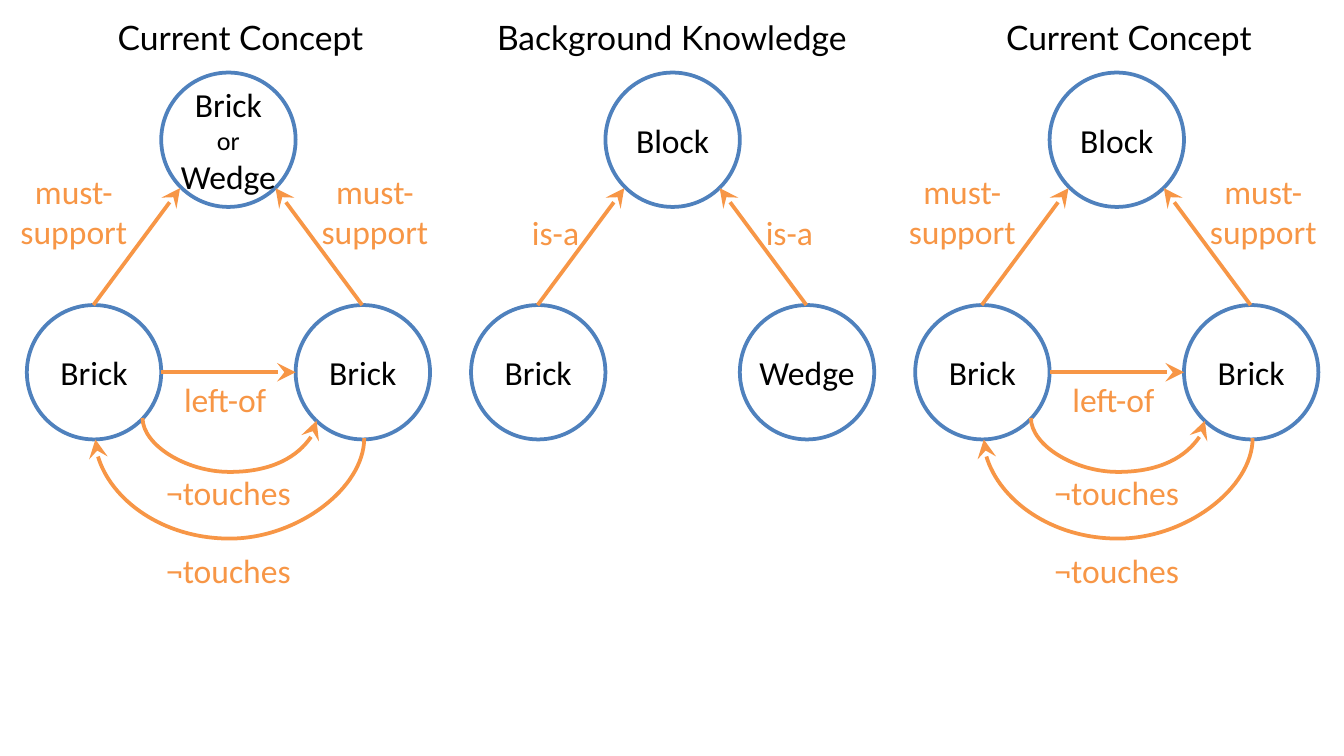
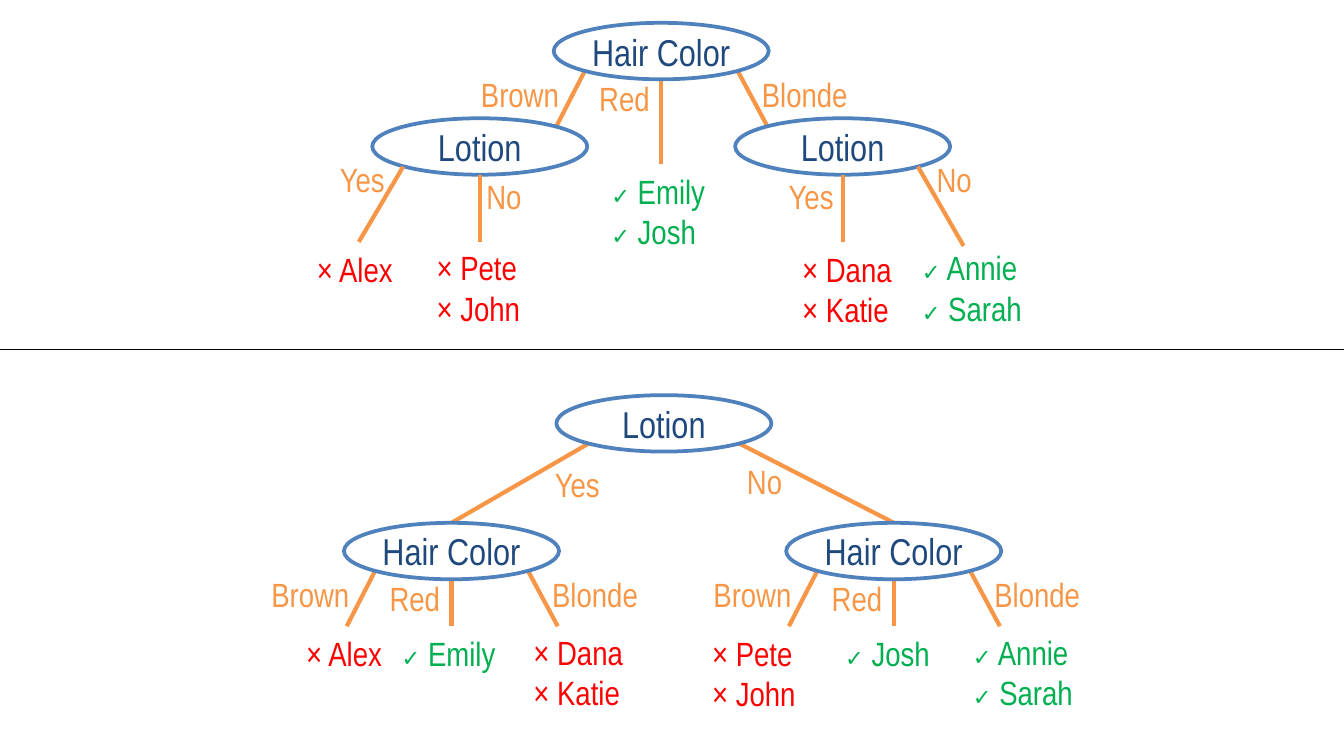
from lxml import etree
from pptx import Presentation
from pptx.dml.color import RGBColor
from pptx.enum.shapes import MSO_CONNECTOR, MSO_SHAPE
from pptx.enum.text import MSO_ANCHOR, MSO_AUTO_SIZE, PP_ALIGN
from pptx.oxml.ns import qn
from pptx.util import Inches, Pt

STRAIGHT, CURVE = MSO_CONNECTOR.STRAIGHT, MSO_CONNECTOR.CURVE
OVAL = MSO_SHAPE.OVAL
CENTER, LEFT = PP_ALIGN.CENTER, PP_ALIGN.LEFT
MIDDLE = MSO_ANCHOR.MIDDLE
FIT_SHAPE, FIT_NONE = MSO_AUTO_SIZE.SHAPE_TO_FIT_TEXT, MSO_AUTO_SIZE.NONE

COLORS = {
    "paper": "FFFFFF", "ink": "000000", "outline": "4F81BD", "link": "F79646",
    "node": "1F497D", "burned": "FF0000", "fine": "00B050",
}
COLUMNS, ROWS = 100, 56.25  # square grid cells of a tenth of an inch
CELL = Inches(0.1)


def cells(*counts):
    return [round(count * CELL) for count in counts]


def color(name):
    return RGBColor.from_string(COLORS[name])


class Diagram:
    """Holds the style, the current page and the shapes being drawn on."""

    def __init__(self):
        self.deck = Presentation()
        self.deck.slide_width, self.deck.slide_height = cells(COLUMNS, ROWS)

    def add_page(self, font):
        self.page = self.deck.slides.add_slide(self.deck.slide_layouts[6])
        self.canvas = self.page.shapes
        self.font = font

    def start_group(self):
        self.canvas = self.page.shapes.add_group_shape().shapes

    def end_group(self):
        self.canvas = self.page.shapes

    def style(self, span, size, ink, font=None):
        span.font.name = font or self.font
        span.font.size = Pt(size)
        span.font.color.rgb = color(ink)

    def fill_text(self, frame, text, sizes, ink, align, font=None):
        frame.text = text
        for para, size in zip(frame.paragraphs, sizes):
            para.alignment = align
            for span in para.runs:
                self.style(span, size, ink, font)

    def ellipse(self, at, text, sizes, ink):
        shape = self.canvas.add_shape(OVAL, *cells(*at))
        shape.shadow.inherit = False
        shape.fill.solid()
        shape.fill.fore_color.rgb = color("paper")
        shape.line.color.rgb = color("outline")
        shape.line.width = Pt(2)
        frame = shape.text_frame
        frame.margin_left = frame.margin_right = 0
        frame.margin_top = frame.margin_bottom = 0
        frame.vertical_anchor = MIDDLE
        frame.word_wrap = False
        self.fill_text(frame, text, sizes, ink, CENTER)

    def text_box(self, at, wrap=False, fit=FIT_NONE):
        frame = self.canvas.add_textbox(*cells(*at)).text_frame
        frame.word_wrap = wrap
        frame.auto_size = fit
        return frame

    def heading(self, left, text):
        frame = self.text_box((left, 0.8, 32, 4), wrap=True)
        self.fill_text(frame, text, [18], "ink", CENTER, "Lato")

    def label(self, at, text, align=CENTER, fit=FIT_NONE):
        self.fill_text(self.text_box(at, fit=fit), text, [18], "link", align)

    def tag(self, left, top, text):
        widths = {"Yes": 5.4, "No": 4.7, "Red": 5.8, "Blonde": 8.5, "Brown": 7.9, "is-a": 5.6}
        self.label((left, top, widths[text], 4), text, LEFT, FIT_SHAPE)

    def leaf(self, left, top, width, result, *names):
        mark, mark_size = {"burned": ("×", 18), "fine": ("✓", 12)}[result]
        frame = self.text_box((left, top, width, 0.9 + 3.1 * len(names)), fit=FIT_SHAPE)
        frame.text = "\n".join([mark] * len(names))
        for para, name in zip(frame.paragraphs, names):
            self.style(para.runs[0], mark_size, result)
            span = para.add_run()
            span.text = " " + name
            self.style(span, 18, result)

    def line(self, start, end, ink="link", width=2.25, kind=STRAIGHT, arrow=False):
        line = self.canvas.add_connector(kind, *cells(*start, *end))
        line.line.color.rgb = color(ink)
        line.line.width = Pt(width)
        properties = line._element.spPr
        if arrow:
            etree.SubElement(properties.find(qn("a:ln")), qn("a:tailEnd"),
                             type="stealth", w="lg", len="lg")
        etree.SubElement(properties, qn("a:effectLst"))
        return properties

    def arrow(self, start, end):
        self.line(start, end, width=2, arrow=True)

    def arc(self, start, end, lowest):
        """Curved arrow that leaves downwards, turns at lowest and comes back up."""
        (x1, y1), (x2, y2) = start, end
        middle_x, middle_y = (x1 + x2) / 2, (y1 + y2) / 2
        drop, reach = y2 - y1, abs(x2 - x1)
        # The connector is laid out upright, then turned a quarter
        sides = [middle_x - drop / 2, middle_x + drop / 2]
        turn = 90
        if x2 > x1:
            sides.reverse()
            turn = 270
        properties = self.line((sides[0], middle_y - reach / 2),
                               (sides[1], middle_y + reach / 2),
                               width=2, kind=CURVE, arrow=True)
        properties.find(qn("a:xfrm")).set("rot", str(turn * 60000))
        guides = properties.find(qn("a:prstGeom")).get_or_add_avLst()
        bend = round((lowest - y1) / drop * 100000)
        etree.SubElement(guides, qn("a:gd"), name="adj1", fmla=f"val {bend}")

    # Parts of the concept graphs
    def triangle(self, left, top_words, left_word, right_word):
        for x, y, words in ((10, 5.4, top_words), (0, 22.7, left_word), (20, 22.7, right_word)):
            sizes = [14 if word == "or" else 18 for word in words.split("\n")]
            self.ellipse((left + x, y, 10, 10), words, sizes, "ink")
        for foot, tip in ((4.95, 11.4), (24.95, 18.5)):
            self.arrow((left + foot, 22.7), (left + tip, 14))

    def concept_links(self, left):
        for x in (-2, 20.4):
            self.label((left + x, 12.2, 11, 7.1), "must-\vsupport")
        self.arrow((left + 10, 27.7), (left + 20, 27.7))
        self.label((left + 9.5, 27.7, 10.5, 4), "left-of")
        self.arc((left + 8.6, 31.1), (left + 21.55, 31.3), 35.1)
        self.arc((left + 25.1, 32.6), (left + 5.1, 32.7), 40.2)
        for top in (34.6, 40.4):
            self.label((left + 9.75, top, 10.5, 4), "¬touches")

    # Parts of the decision trees
    def question(self, left, top, text):
        self.ellipse((left, top, 16, 4.2), text, [20], "node")

    def hair_color(self, left, top, red_end=7.7):
        for start, end in (((2.3, 3.6), (0.2, 7.7)), ((8, 4.2), (8, red_end)),
                           ((13.7, 3.6), (15.9, 7.7))):
            self.line((left + start[0], top + start[1]), (left + end[0], top + end[1]))
        for x, y, text in ((-6.4, 3.3, "Brown"), (2.4, 3.6, "Red"), (14.5, 3.3, "Blonde")):
            self.tag(left + x, top + y, text)
        self.question(left, top, "Hair Color")


def concept_page(diagram):
    diagram.add_page("Calibri")
    first, pitch = 2, 33.05
    panels = (
        (1.9, "Current Concept", "Brick\nor\nWedge", "Brick", "Brick"),
        (34, "Background Knowledge", "Block", "Brick", "Wedge"),
        (68, "Current Concept", "Block", "Brick", "Brick"),
    )
    for number, (heading_left, heading, *words) in enumerate(panels):
        left = first + number * pitch
        diagram.heading(heading_left, heading)
        diagram.triangle(left, *words)
        if heading == "Current Concept":
            diagram.concept_links(left)
        else:
            for x in (3.55, 20.95):
                diagram.tag(left + x, 15.3, "is-a")


def tree_page(diagram):
    diagram.add_page("Arial Narrow")

    # Lower tree: lotion first
    diagram.start_group()
    diagram.line((43.8, 33), (33.6, 38.9))
    diagram.line((55, 33), (66.5, 38.9))
    diagram.question(41.4, 29.4, "Lotion")
    diagram.tag(40.3, 34, "Yes")
    diagram.tag(54.6, 33.8, "No")
    for left in (25.6, 58.5):
        diagram.hair_color(left, 38.9)
    diagram.leaf(21.8, 46.6, 7.7, "burned", "Alex")
    diagram.leaf(28.9, 46.6, 9.3, "fine", "Emily")
    diagram.leaf(38.7, 46.5, 8.8, "burned", "Dana", "Katie")
    diagram.leaf(52, 46.6, 8.3, "burned", "Pete", "John")
    diagram.leaf(61.9, 46.6, 8.7, "fine", "Josh")
    diagram.leaf(71.4, 46.5, 9.8, "fine", "Annie", "Sarah")
    diagram.end_group()

    # Divider
    diagram.line((0, 26), (COLUMNS, 26), "ink", 1)

    # Upper tree: hair color first
    diagram.start_group()
    diagram.hair_color(41.2, 1.7, red_end=10.5)
    for left in (27.7, 54.7):
        diagram.question(left, 8.8, "Lotion")
        diagram.line((left + 8, 13), (left + 8, 18))
    diagram.line((30, 12.4), (26.7, 18))
    diagram.line((68.3, 12.4), (71.7, 18.3))
    for left, top, text in ((24.3, 11.3, "Yes"), (35.2, 12.6, "No"),
                            (57.7, 12.6, "Yes"), (68.7, 11.3, "No")):
        diagram.tag(left, top, text)
    diagram.leaf(22.6, 18, 7.7, "burned", "Alex")
    diagram.leaf(31.5, 17.9, 8.3, "burned", "Pete", "John")
    diagram.leaf(44.5, 12.2, 9.3, "fine", "Emily", "Josh")
    diagram.leaf(58.7, 18, 8.8, "burned", "Dana", "Katie")
    diagram.leaf(67.6, 17.9, 9.8, "fine", "Annie", "Sarah")
    diagram.end_group()


def main():
    diagram = Diagram()
    concept_page(diagram)
    tree_page(diagram)
    diagram.deck.save("out.pptx")


if __name__ == "__main__":
    main()
